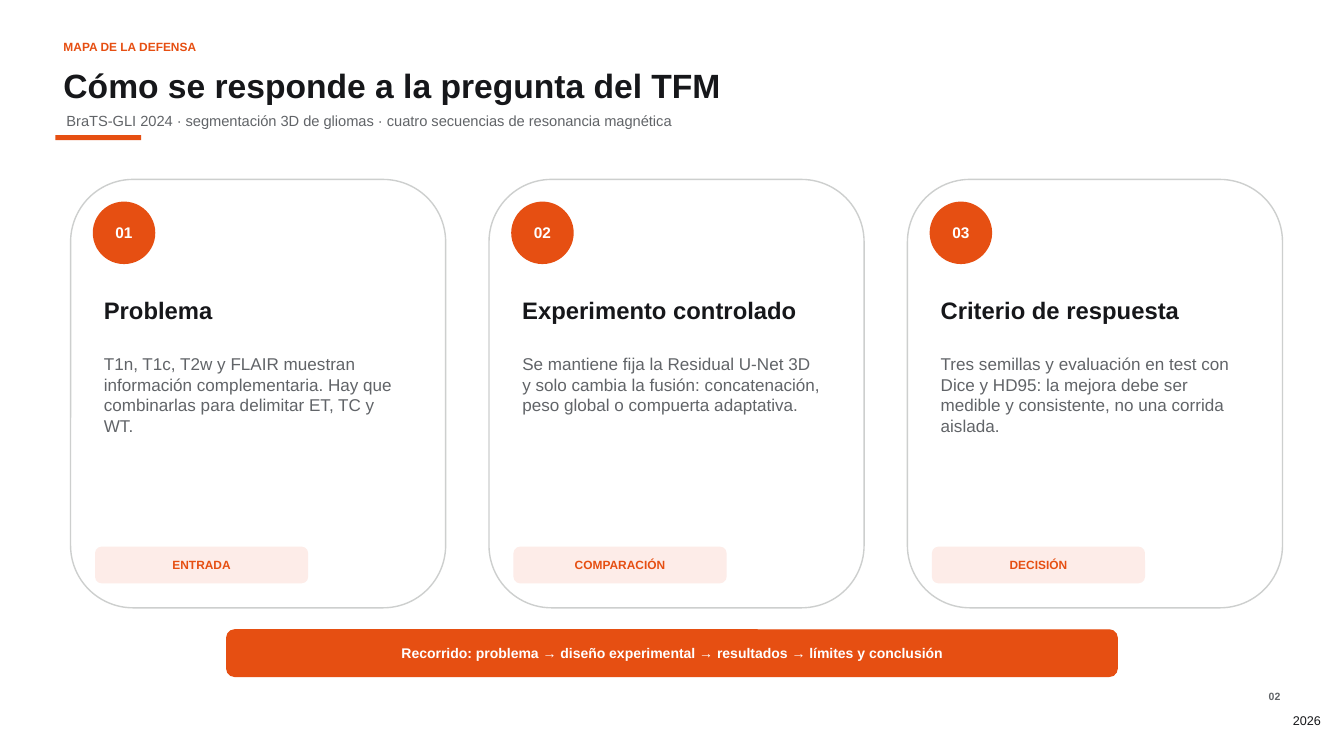
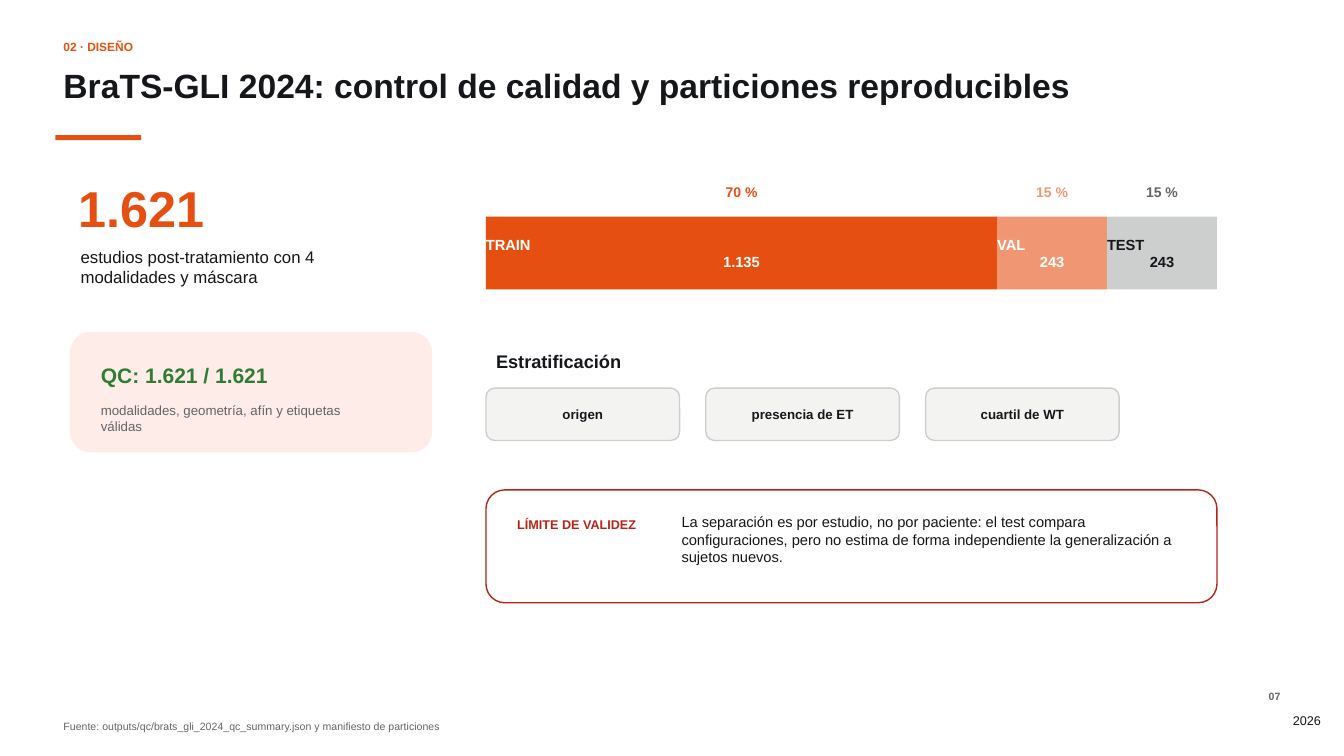
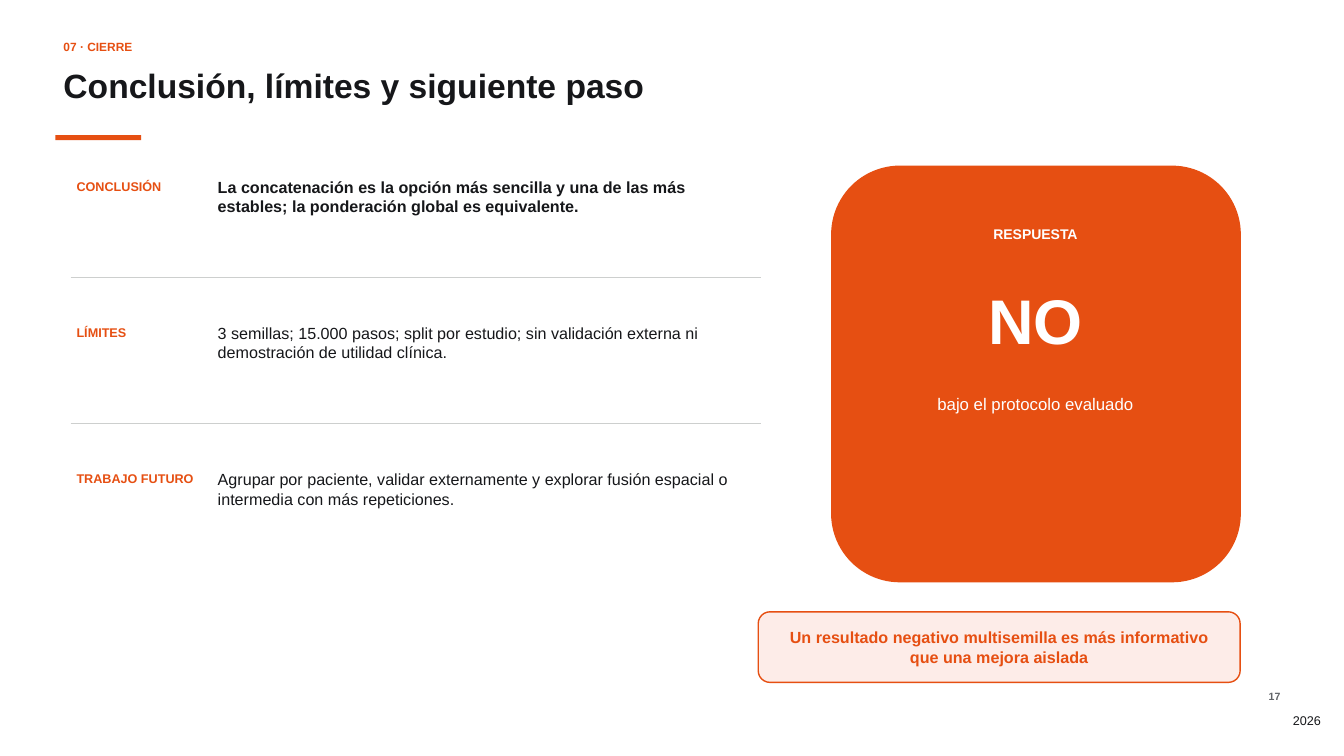
from lxml.etree import SubElement
from pptx import Presentation
from pptx.dml.color import RGBColor
from pptx.enum.shapes import MSO_CONNECTOR as CONN, MSO_SHAPE as SHAPE
from pptx.enum.text import MSO_ANCHOR as ANCHOR, MSO_AUTO_SIZE as FIT, PP_ALIGN as ALIGN
from pptx.oxml.ns import qn
from pptx.util import Emu, Pt

# Shared style: 100 px to the inch
SCALE = 9144
FONT = "Arial"
ORANGE, PEACH, BLUSH = "E64F12", "F19672", "FDECE8"
INK, GRAY, SILVER, PALE, WHITE = "16171A", "616468", "CDCFCE", "F3F3F2", "FFFFFF"
GREEN, RED = "2E7D32", "B62418"
LEFT, CENTER, RIGHT = ALIGN.LEFT, ALIGN.CENTER, ALIGN.RIGHT


def px(n):
    return Emu(n * SCALE)


def rgb(value):
    return RGBColor.from_string(value)


class Deck:
    def __init__(self):
        self.prs = Presentation()
        self.prs.slide_width, self.prs.slide_height = px(1333), px(750)
        self.s = None

    def slide(self, section, title, number, subtitle=None, source=None):
        """Start a slide with its heading, accent rule and footer."""
        self.s = self.prs.slides.add_slide(self.prs.slide_layouts[6])
        self.text(1194, 700, 116, 30, "2026", 9, INK, align=RIGHT, middle=True, inset=0)
        self.text(55, 32, 980, 22, section, 8.5, ORANGE, bold=True)
        self.text(55, 56, 1100, 48, title, 24, INK, bold=True)
        if subtitle:
            self.text(58, 103, 1120, 35, subtitle, 10.5, GRAY)
        self.shape(SHAPE.RECTANGLE, 55, 134, 85, 5, ORANGE)
        if source:
            self.text(55, 708, 1170, 16, source, 7.5, GRAY)
        self.text(1248, 678, 30, 18, number, 7.5, GRAY, bold=True, align=RIGHT)

    def fill_text(self, tf, lines, size, color, bold, aligns, inset, middle):
        """Fill a text frame, one paragraph for each line."""
        frame = {
            "word_wrap": True,
            "vertical_anchor": ANCHOR.MIDDLE if middle else ANCHOR.TOP,
            "margin_left": px(inset), "margin_right": px(inset),
            "margin_top": px(inset), "margin_bottom": px(inset),
        }
        for name, value in frame.items():
            setattr(tf, name, value)
        for i, (line, align) in enumerate(zip(lines, aligns)):
            p = tf.add_paragraph() if i else tf.paragraphs[0]
            p.alignment = align
            r = p.add_run()
            r.text = line
            for name, value in {"name": FONT, "size": Pt(size), "bold": bold}.items():
                setattr(r.font, name, value)
            r.font.color.rgb = rgb(color)

    def text(self, x, y, w, h, text, size, color, bold=False, align=LEFT,
             middle=False, inset=8):
        sp = self.s.shapes.add_textbox(px(x), px(y), px(w), px(h))
        self.fill_text(sp.text_frame, [text], size, color, bold, [align], inset, middle)
        sp.text_frame.auto_size = FIT.SHAPE_TO_FIT_TEXT

    def shape(self, kind, x, y, w, h, fill, line=None, lines=(), size=10,
              color=WHITE, aligns=(CENTER,), inset=0):
        sp = self.s.shapes.add_shape(kind, px(x), px(y), px(w), px(h))
        sp.shadow.inherit = False
        sp.fill.solid()
        sp.fill.fore_color.rgb = rgb(fill)
        if line:
            sp.line.color.rgb = rgb(line)
            sp.line.width = Pt(1)
        else:
            sp.line.fill.background()
        if lines:
            self.fill_text(sp.text_frame, lines, size, color, True, aligns, inset, True)

    def panel(self, x, y, w, h, fill, line, *lines, **style):
        self.shape(SHAPE.ROUNDED_RECTANGLE, x, y, w, h, fill, line, lines, **style)

    def rule(self, x1, x2, y):
        c = self.s.shapes.add_connector(CONN.STRAIGHT, px(x1), px(y), px(x2), px(y))
        c.line.color.rgb = rgb(SILVER)
        c.line.width = Pt(1)
        SubElement(c._element.spPr, qn("a:effectLst"))

    def card(self, x, number, title, body, tag):
        self.panel(x, 178, 372, 425, WHITE, SILVER)
        self.shape(SHAPE.OVAL, x + 22, 200, 62, 62, ORANGE, lines=[number], size=11)
        self.text(x + 25, 285, 310, 43, title, 17, INK, bold=True)
        self.text(x + 25, 343, 315, 175, body, 12.2, GRAY)
        self.panel(x + 25, 543, 210, 35, BLUSH, BLUSH, tag, size=8.5, color=ORANGE)


def defense_map(d):
    d.slide("MAPA DE LA DEFENSA", "Cómo se responde a la pregunta del TFM", "02",
            subtitle="BraTS-GLI 2024 · segmentación 3D de gliomas · "
                     "cuatro secuencias de resonancia magnética")
    cards = [
        ("Problema", "T1n, T1c, T2w y FLAIR muestran información complementaria. "
         "Hay que combinarlas para delimitar ET, TC y WT.", "ENTRADA"),
        ("Experimento controlado", "Se mantiene fija la Residual U-Net 3D y solo cambia "
         "la fusión: concatenación, peso global o compuerta adaptativa.", "COMPARACIÓN"),
        ("Criterio de respuesta", "Tres semillas y evaluación en test con Dice y HD95: "
         "la mejora debe ser medible y consistente, no una corrida aislada.", "DECISIÓN"),
    ]
    for i, card in enumerate(cards):
        d.card(70 + 415 * i, f"{i + 1:02}", *card)
    d.panel(225, 625, 883, 46, ORANGE, ORANGE,
            "Recorrido: problema → diseño experimental → resultados → límites y conclusión")


def data_split(d):
    d.slide("02 · DISEÑO", "BraTS-GLI 2024: control de calidad y particiones reproducibles",
            "07", source="Fuente: outputs/qc/brats_gli_2024_qc_summary.json "
                         "y manifiesto de particiones")
    # Study count and quality control
    d.text(70, 168, 310, 72, "1.621", 36, ORANGE, bold=True)
    d.text(72, 237, 340, 68, "estudios post-tratamiento con 4 modalidades y máscara", 12, INK)
    d.panel(70, 330, 358, 118, BLUSH, BLUSH)
    d.text(92, 352, 298, 28, "QC: 1.621 / 1.621", 15, GREEN, bold=True)
    d.text(92, 391, 298, 30, "modalidades, geometría, afín y etiquetas válidas", 9.5, GRAY)

    # Partition bar
    x = 482
    for name, count, share, w, fill, color, label in [
        ("TRAIN", "1.135", "70 %", 507, ORANGE, WHITE, ORANGE),
        ("VAL", "243", "15 %", 109, PEACH, WHITE, PEACH),
        ("TEST", "243", "15 %", 109, SILVER, INK, GRAY),
    ]:
        d.shape(SHAPE.RECTANGLE, x, 215, w, 72, fill, lines=[name, count], size=10.5,
                color=color, aligns=(LEFT, CENTER))
        d.text(x, 178, w, 25, share, 10, label, bold=True, align=CENTER, middle=True)
        x += w

    # Stratification
    d.text(484, 340, 210, 30, "Estratificación", 13, INK, bold=True)
    for i, factor in enumerate(["origen", "presencia de ET", "cuartil de WT"]):
        d.panel(482 + 218 * i, 385, 192, 52, PALE, SILVER, factor, size=9.5, color=INK)

    # Validity limit
    d.panel(482, 486, 725, 112, WHITE, RED)
    d.text(505, 505, 165, 25, "LÍMITE DE VALIDEZ", 9, RED, bold=True)
    d.text(668, 501, 507, 64, "La separación es por estudio, no por paciente: el test compara "
           "configuraciones, pero no estima de forma independiente la generalización "
           "a sujetos nuevos.", 10.5, INK)


def closing(d):
    d.slide("07 · CIERRE", "Conclusión, límites y siguiente paso", "17")
    # Answer panel
    d.panel(825, 165, 405, 412, ORANGE, ORANGE)
    for x, y, w, h, text, size, bold in [
        (872, 218, 310, 28, "RESPUESTA", 10, True),
        (872, 264, 310, 105, "NO", 45, True),
        (853, 382, 348, 38, "bajo el protocolo evaluado", 12, False),
    ]:
        d.text(x, y, w, h, text, size, WHITE, bold, CENTER, middle=True)

    # Findings, parted by rules
    findings = [
        ("CONCLUSIÓN", "La concatenación es la opción más sencilla y una de las más "
         "estables; la ponderación global es equivalente."),
        ("LÍMITES", "3 semillas; 15.000 pasos; split por estudio; sin validación externa "
         "ni demostración de utilidad clínica."),
        ("TRABAJO FUTURO", "Agrupar por paciente, validar externamente y explorar fusión "
         "espacial o intermedia con más repeticiones."),
    ]
    for i, (label, body) in enumerate(findings):
        y = 168 + 145 * i
        if i:
            d.rule(70, 755, y - 38)
        d.text(68, y + 2, 160, 25, label, 9, ORANGE, bold=True)
        d.text(208, y, 540, 78, body, 11.5, INK, bold=i == 0)

    d.panel(752, 607, 478, 70, BLUSH, ORANGE,
            "Un resultado negativo multisemilla es más informativo que una mejora aislada",
            size=11.5, color=ORANGE, inset=15)


def main():
    d = Deck()
    for build in (defense_map, data_split, closing):
        build(d)
    d.prs.save("out.pptx")


if __name__ == "__main__":
    main()
